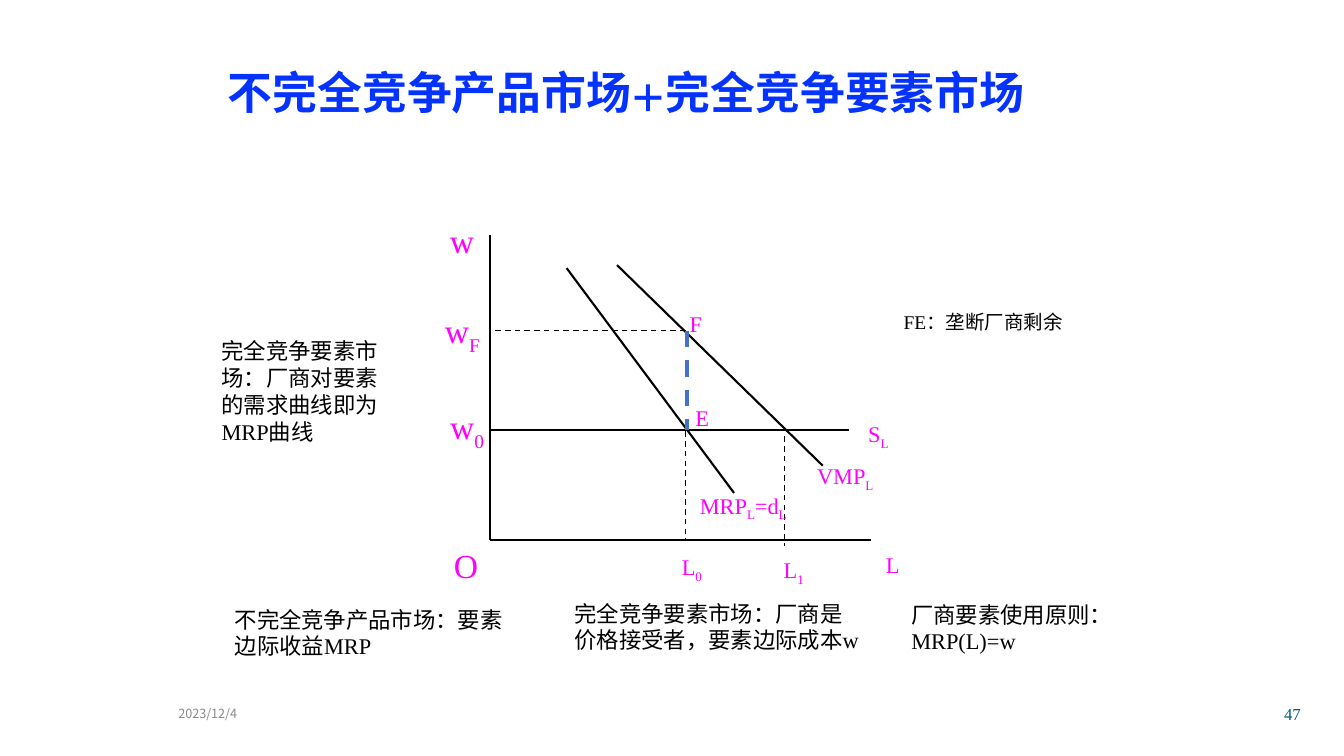
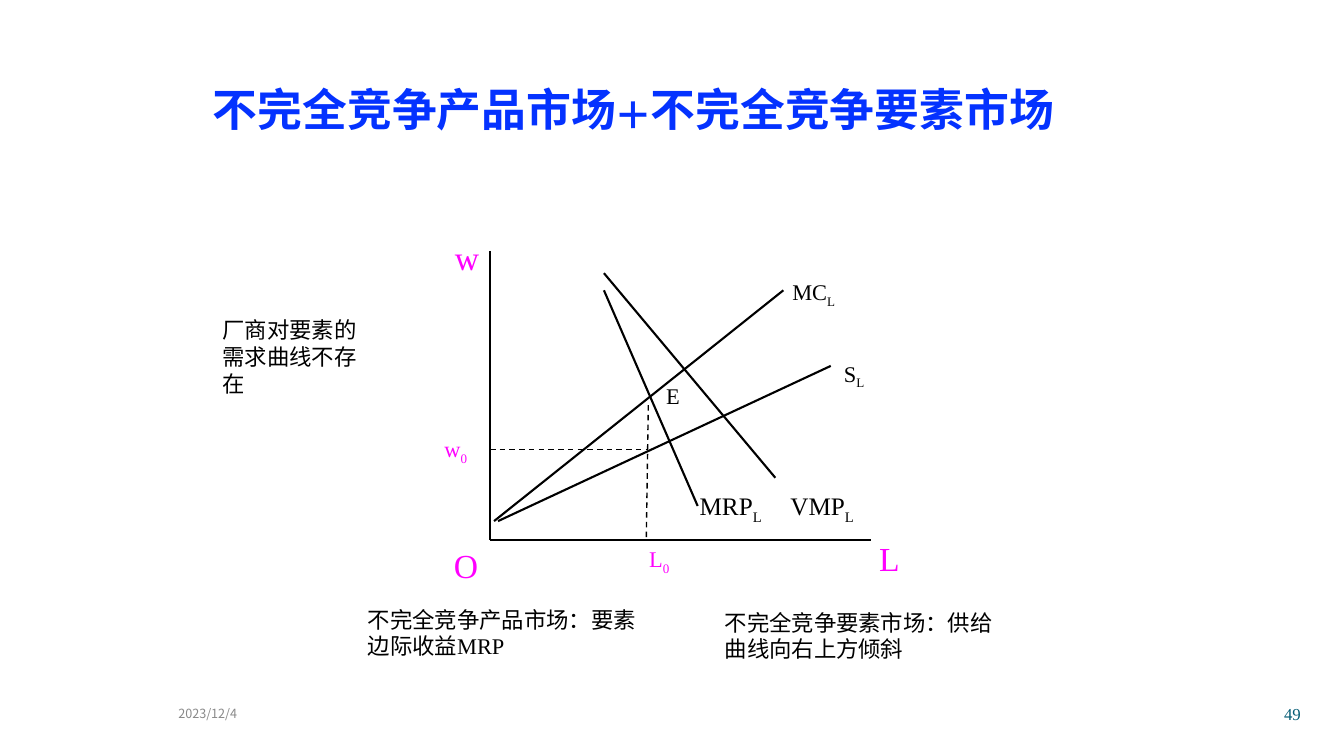
from lxml import etree
from pptx import Presentation
from pptx.dml.color import RGBColor
from pptx.enum.dml import MSO_LINE
from pptx.enum.shapes import MSO_CONNECTOR as Connector
from pptx.enum.text import MSO_ANCHOR as Anchor, MSO_AUTO_SIZE as AutoSize, PP_ALIGN as Align
from pptx.oxml.ns import qn
from pptx.util import Emu, Pt

PX = 9144  # EMU per px, 100 px to the inch
COLORS = {
    "title": "0432FF", "label": "FF00FF", "ink": "000000",
    "surplus": "4472C4", "date": "898989", "number": "045C75",
}
SERIF, TITLE_FONT, CJK_FONT = "Times New Roman", "TeX Gyre Pagella", "Noto Sans CJK SC"
LEFT, RIGHT = Align.LEFT, Align.RIGHT

# Line styles: colour, width in points, dashed
LINE_STYLES = {
    "solid": ("ink", 1.5, False),
    "guide": ("ink", 1, True),
    "surplus": ("surplus", 3, True),
}
ORIGIN, L_END = (486, 536), (864, 536)
DATE, DATE_BOX, NUMBER_BOX = "2023/12/4", (167, 683, 278, 50), (1022, 683, 278, 50)

# Lines: style, start, end.
# Labels: pieces (every second one is a subscript), box, size, colour, alignment.
# Notes: text, box.
SLIDES = [
    {
        "title": "不完全竞争产品市场+完全竞争要素市场",
        "title_box": (216, 59, 900, 82),
        "number": "47",
        "w_axis_top": 233,
        "lines": [
            ("solid", (486, 427), (842, 427)),
            ("solid", (612, 263), (816, 462)),
            ("guide", (778, 433), (778, 542)),
            ("solid", (562, 266), (728, 489)),
            ("guide", (680, 428), (680, 537)),
            ("surplus", (681, 328), (681, 427)),
            ("guide", (680, 328), (485, 328)),
        ],
        "labels": [
            (("w",), (433, 213, 47, 50), 24, "label", RIGHT),
            (("w", "0"), (424, 398, 66, 50), 24, "label", RIGHT),
            (("w", "F"), (420, 303, 66, 50), 24, "label", RIGHT),
            (("L",), (855, 542, 47, 37), 16, "label", RIGHT),
            (("L", "0"), (648, 544, 58, 37), 16, "label", RIGHT),
            (("L", "1"), (749, 547, 58, 37), 16, "label", RIGHT),
            (("E",), (666, 396, 47, 37), 16, "label", RIGHT),
            (("F",), (674, 303, 32, 37), 16, "label", RIGHT),
            (("S", "L"), (833, 412, 58, 37), 16, "label", RIGHT),
            (("VMP", "L"), (747, 454, 129, 37), 16, "label", RIGHT),
            (("MRP", "L", "=d", "L"), (661, 483, 129, 37), 16, "label", RIGHT),
            (("", "FE：垄断厂商剩余"), (838, 280, 226, 37), 24, "ink", RIGHT),
        ],
        "notes": [
            ("完全竞争要素市场：厂商对要素的需求曲线即为MRP曲线", (210, 330, 189, 118)),
            ("不完全竞争产品市场：要素边际收益MRP", (223, 596, 307, 64)),
            ("完全竞争要素市场：厂商是价格接受者，要素边际成本w", (560, 590, 307, 64)),
            ("厂商要素使用原则：MRP(L)=w", (894, 591, 307, 64)),
        ],
    },
    {
        "title": "不完全竞争产品市场+不完全竞争要素市场",
        "title_box": (201, 76, 900, 80),
        "number": "49",
        "w_axis_top": 249,
        "lines": [
            ("solid", (494, 517), (824, 363)),
            ("solid", (599, 271), (769, 474)),
            ("guide", (643, 402), (641, 536)),
            ("solid", (490, 517), (777, 288)),
            ("guide", (486, 446), (643, 446)),
            ("solid", (599, 288), (692, 502)),
        ],
        "labels": [
            (("w",), (438, 230, 47, 50), 24, "label", RIGHT),
            (("w", "0"), (431, 427, 60, 37), 16, "label", LEFT),
            (("L",), (855, 529, 47, 51), 24, "label", RIGHT),
            (("L", "0"), (634, 536, 58, 37), 16, "label", LEFT),
            (("E",), (651, 374, 47, 37), 16, "ink", LEFT),
            (("S", "L"), (809, 352, 58, 37), 16, "ink", RIGHT),
            (("MC", "L"), (776, 271, 79, 37), 16, "ink", LEFT),
            (("MRP", "L"), (684, 482, 105, 40), 18, "ink", LEFT),
            (("VMP", "L"), (774, 482, 105, 40), 18, "ink", LEFT),
        ],
        "notes": [
            ("厂商对要素的需求曲线不存在", (211, 309, 166, 91)),
            ("不完全竞争产品市场：要素边际收益MRP", (355, 596, 307, 64)),
            ("不完全竞争要素市场：供给曲线向右上方倾斜", (709, 599, 307, 64)),
        ],
    },
]
ORIGIN_LABEL = (("O",), (437, 536, 47, 51), 24, "label", RIGHT)


def emu(lengths):
    return [Emu(length * PX) for length in lengths]


def format_run(run, size, color, font, bold=False):
    run.font.size, run.font.name, run.font.bold = Pt(size), font, bold
    run.font.color.rgb = RGBColor.from_string(COLORS[color])
    east_asian = etree.SubElement(run.font._element, qn("a:ea"))
    east_asian.set("typeface", CJK_FONT)


def add_text(slide, pieces, box, size, color, align=LEFT, font=SERIF,
             anchor=Anchor.TOP, fit=AutoSize.SHAPE_TO_FIT_TEXT):
    """Add a text box whose every second piece is a subscript."""
    frame = slide.shapes.add_textbox(*emu(box)).text_frame
    frame.word_wrap, frame.auto_size, frame.vertical_anchor = True, fit, anchor
    paragraph = frame.paragraphs[0]
    paragraph.alignment = align
    for index, piece in enumerate(pieces):
        if not piece:
            continue
        run = paragraph.add_run()
        run.text = piece
        format_run(run, size, color, font)
        if index % 2:
            run.font._element.set("baseline", "-25000")


def add_line(slide, style, start, end):
    color, width, dashed = LINE_STYLES[style]
    connector = slide.shapes.add_connector(Connector.STRAIGHT, *emu(start + end))
    connector.line.color.rgb = RGBColor.from_string(COLORS[color])
    connector.line.width = Pt(width)
    if dashed:
        connector.line.dash_style = MSO_LINE.DASH
    etree.SubElement(connector._element.spPr, qn("a:effectLst"))


def set_title(slide, text, box):
    title = slide.shapes.title
    title.left, title.top, title.width, title.height = emu(box)
    frame = title.text_frame
    frame.text = text
    frame.word_wrap, frame.auto_size, frame.vertical_anchor = True, AutoSize.NONE, Anchor.TOP
    frame.paragraphs[0].alignment = LEFT
    format_run(frame.paragraphs[0].runs[0], 32, "title", TITLE_FONT, bold=True)


def add_footer(slide, number):
    fixed = {"anchor": Anchor.MIDDLE, "fit": AutoSize.NONE}
    add_text(slide, [DATE], DATE_BOX, 9, "date", font=CJK_FONT, **fixed)
    add_text(slide, [number], NUMBER_BOX, 12, "number", RIGHT, **fixed)


def build_slide(deck, content):
    slide = deck.slides.add_slide(deck.slide_layouts[5])
    set_title(slide, content["title"], content["title_box"])
    add_footer(slide, content["number"])
    axes = [("solid", (ORIGIN[0], content["w_axis_top"]), ORIGIN), ("solid", ORIGIN, L_END)]
    for line in axes + content["lines"]:
        add_line(slide, *line)
    for label in content["labels"] + [ORIGIN_LABEL]:
        add_text(slide, *label)
    for text, box in content["notes"]:
        add_text(slide, [text], box, 16, "ink")


def main():
    deck = Presentation()
    deck.slide_width, deck.slide_height = emu((1333, 750))
    for content in SLIDES:
        build_slide(deck, content)
    deck.save("out.pptx")


if __name__ == "__main__":
    main()
